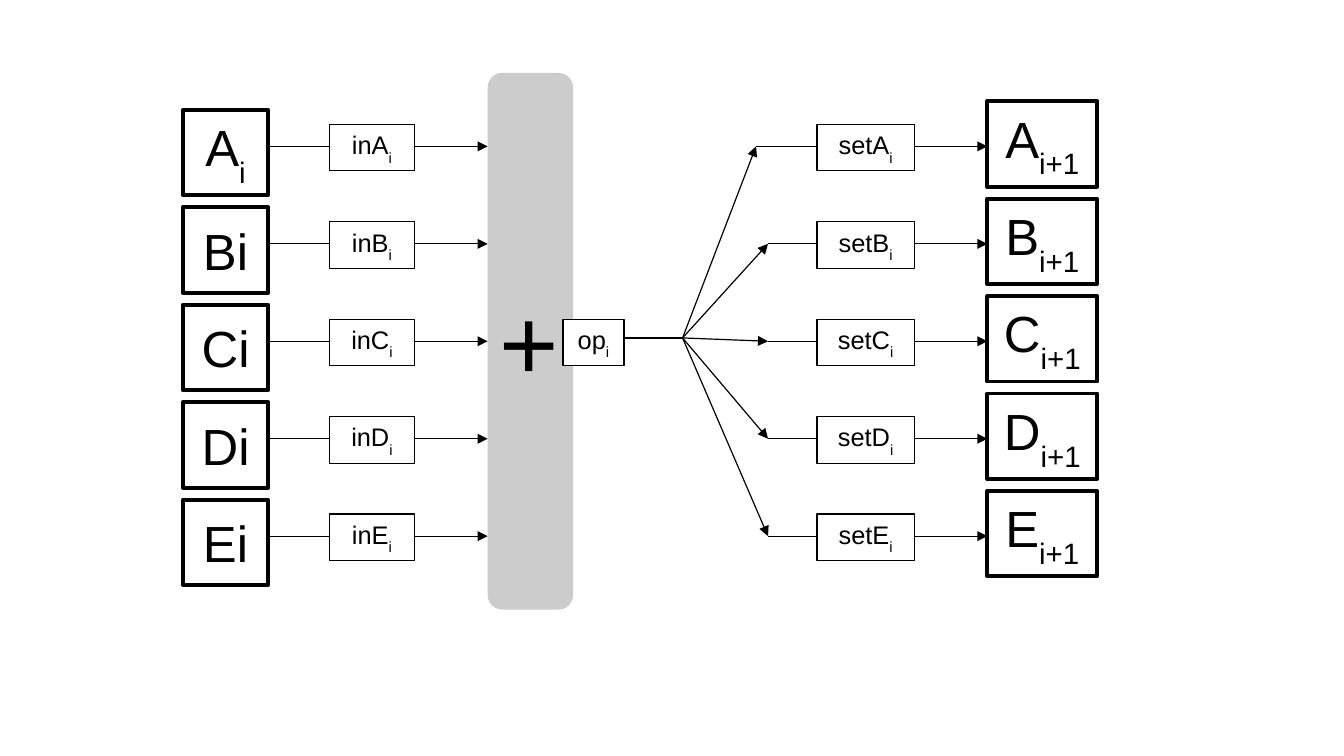
from dataclasses import dataclass

from lxml.etree import SubElement
from pptx import Presentation
from pptx.dml.color import RGBColor
from pptx.enum.shapes import MSO_CONNECTOR, MSO_SHAPE
from pptx.enum.text import MSO_ANCHOR, PP_ALIGN
from pptx.oxml.ns import qn
from pptx.util import Cm, Pt


@dataclass(frozen=True)
class Theme:
    ink: RGBColor = RGBColor(0x00, 0x00, 0x00)
    paper: RGBColor = RGBColor(0xFF, 0xFF, 0xFF)
    bar: RGBColor = RGBColor(0xCC, 0xCC, 0xCC)
    font: str = "Arial"
    label_size: int = 15
    state_size: int = 30
    plus_size: int = 60
    thin: float = 0.71
    thick: float = 2.27


theme = Theme()
label_style = {"size": theme.label_size, "line": theme.thin, "fill": theme.paper}
state_style = {"size": theme.state_size, "line": theme.thick, "fill": None}
plus_style = {"size": theme.plus_size, "line": None, "fill": None}


def add_box(left, top, width, height, base, subscript, style, align=PP_ALIGN.CENTER):
    shape = slide.shapes.add_shape(MSO_SHAPE.RECTANGLE, Cm(left), Cm(top), Cm(width), Cm(height))
    shape.shadow.inherit = False
    if style["fill"] is None:
        shape.fill.background()
    else:
        shape.fill.solid()
        shape.fill.fore_color.rgb = style["fill"]
    if style["line"] is None:
        shape.line.fill.background()
    else:
        shape.line.color.rgb = theme.ink
        shape.line.width = Pt(style["line"])
    frame_format = {
        "word_wrap": True, "vertical_anchor": MSO_ANCHOR.MIDDLE,
        "margin_left": Cm(0.25), "margin_right": Cm(0.25),
        "margin_top": Cm(0.13), "margin_bottom": Cm(0.13),
    }
    for name, value in frame_format.items():
        setattr(shape.text_frame, name, value)
    paragraph = shape.text_frame.paragraphs[0]
    paragraph.alignment = align
    for text, baseline in ((base, None), (subscript, "-33000")):
        if not text:
            continue
        run = paragraph.add_run()
        run.text = text
        for name, value in {"name": theme.font, "size": Pt(style["size"])}.items():
            setattr(run.font, name, value)
        run.font.color.rgb = theme.ink
        if baseline:
            run.font._element.set("baseline", baseline)


def add_line(start, end, arrow=True):
    connector = slide.shapes.add_connector(
        MSO_CONNECTOR.STRAIGHT, *(Cm(value) for value in (*start, *end)))
    connector.line.color.rgb = theme.ink
    connector.line.width = Pt(theme.thin)
    if arrow:
        SubElement(connector.line._get_or_add_ln(), qn("a:tailEnd"), type="triangle")
    SubElement(connector._element.spPr, qn("a:effectLst"))


presentation = Presentation()
presentation.slide_width, presentation.slide_height = Cm(28), Cm(15.75)
slide = presentation.slides.add_slide(presentation.slide_layouts[6])

# Adder bar with its plus sign
bar_left, bar_width = 10.16, 1.78
bar = slide.shapes.add_shape(
    MSO_SHAPE.ROUNDED_RECTANGLE, Cm(bar_left), Cm(1.52), Cm(bar_width), Cm(11.18))
bar.adjustments[0] = 0.17
bar.shadow.inherit = False
bar.fill.solid()
bar.fill.fore_color.rgb = theme.bar
bar.line.fill.background()
add_box(bar_left, 5.77, bar_width, 2.62, "+", "", plus_style, PP_ALIGN.LEFT)

# One row per register: state, input gate, adder, fan-out, set gate, next state
first_row, row_pitch = 3.05, 2.03
state_left, state_side = 3.81, 1.78
next_left, next_width = 20.57, 2.29
gate_height = 0.97
hub = (14.22, 7.04)
for index, register in enumerate("ABCDE"):
    row = first_row + index * row_pitch
    gate_top = row - 0.46
    fan_end = (15.75 if index == 0 else 16, row)

    add_line((state_left + state_side, row), (bar_left, row))
    add_line(fan_end, (next_left, row))
    add_line(hub, fan_end)

    add_box(6.86, gate_top, 1.78, gate_height, f"in{register}", "i", label_style)
    add_box(17.02, gate_top, 2.03, gate_height, f"set{register}", "i", label_style)

    base, subscript = ("A", "i") if register == "A" else (f"{register}i", "")
    add_box(state_left, row - 0.76, state_side, state_side, base, subscript, state_style)
    add_box(next_left, row - 0.94, next_width, state_side, register, "i+1", state_style)

# Operation output
add_line(hub, (bar_left + bar_width, hub[1]), arrow=False)
add_box(11.73, 6.65, 1.27, gate_height, "op", "i", label_style)

presentation.save("out.pptx")
